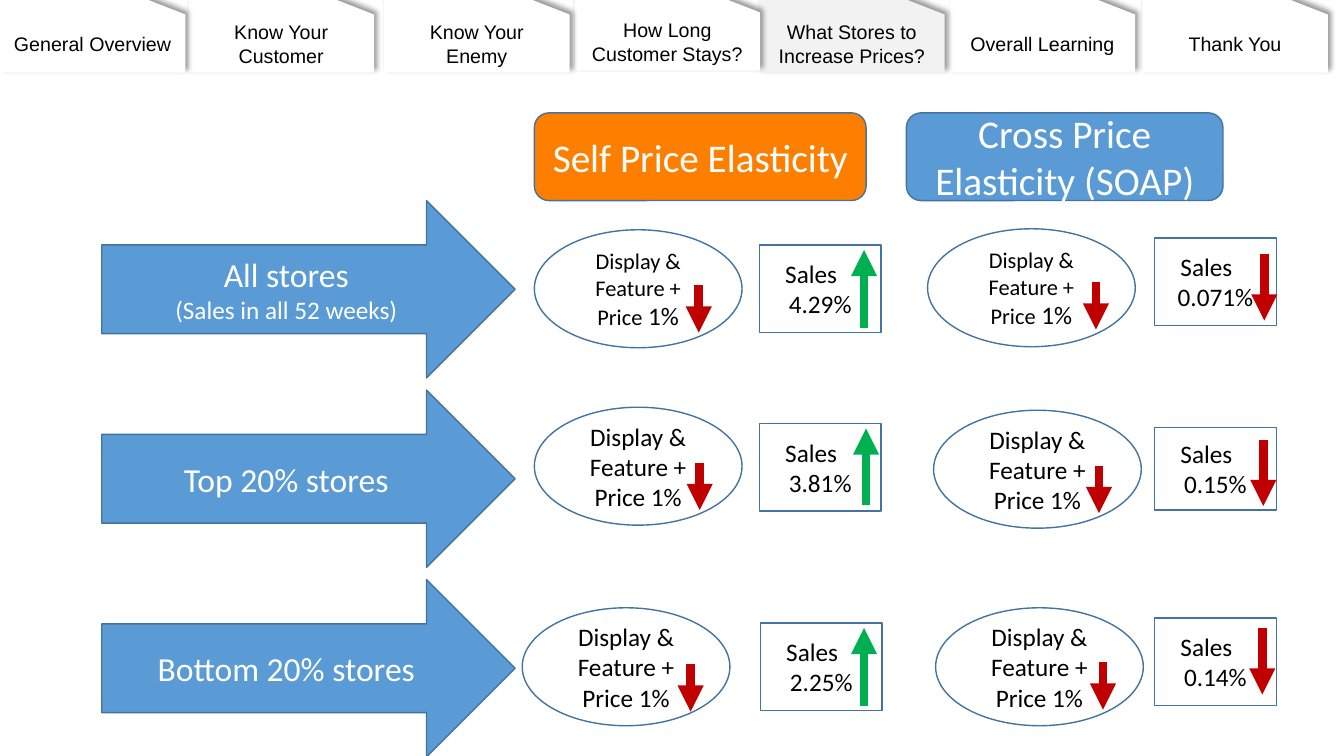
import pptx
import pptx.util
import pptx.dml.color
import pptx.enum.shapes
import pptx.enum.text
import pptx.oxml
import pptx.oxml.ns
from pptx.util import Inches

SHAPES = pptx.enum.shapes.MSO_SHAPE
BLUE, ORANGE, OUTLINE = "5B9BD5", "FE7F00", "43739E"
WHITE, BLACK, GREY = "FFFFFF", "000000", "F2F2F2"
GREEN, RED = "00B050", "C00000"

TAB_SIZE = (1.84, 0.72)
TABS = [
    ("General Overview", 0, 0, WHITE),
    ("Know Your Customer", 1.87, 0, WHITE),
    ("Know Your Enemy", 3.81, 0, WHITE),
    ("How Long Customer Stays?", 5.7, -0.02, WHITE),
    ("What Stores to Increase Prices?", 7.53, 0, GREY),
    ("Overall Learning", 9.42, 0, WHITE),
    ("Thank You", 11.33, 0, WHITE),
]
HEADINGS = [
    ("Self Price Elasticity", 5.3, 3.29, ORANGE),
    ("Cross Price Elasticity (SOAP)", 8.99, 3.14, BLUE),
]
STORE_GROUPS = [
    [("All stores", 24), ("(Sales in all 52 weeks)", 18)],
    [("Top 20% stores", 24)],
    [("Bottom 20% stores", 24)],
]
GROUP_LEFT, GROUP_TOP, GROUP_STEP = 1.01, 1.99, 1.88
ELLIPSE_SIZE = (2.06, 1.17)
PRICE_ARROW_LENGTH = 0.47
# ellipse left, top; text size; price arrow x, top
ACTIONS = [
    (5.3, 2.28, 16, 6.93, 2.83),
    (5.3, 4.04, 18, 6.94, 4.59),
    (5.18, 6.03, 18, 6.85, 6.59),
    (9.2, 2.27, 16, 10.87, 2.8),
    (9.26, 4.07, 18, 10.9, 4.62),
    (9.28, 6.03, 18, 10.94, 6.57),
]
# change; box left, top, height; arrow x, start, end
SALES_WIDTH = 1.21
SALES = [
    ("4.29%", 7.53, 2.43, 0.87, 8.57, 3.25, 2.48),
    ("3.81%", 7.53, 4.2, 0.87, 8.59, 5.01, 4.25),
    ("2.25%", 7.54, 6.18, 0.87, 8.57, 7, 6.23),
    ("0.071%", 11.45, 2.36, 0.87, 12.54, 2.52, 3.18),
    ("0.15%", 11.45, 4.24, 0.82, 12.53, 4.37, 5.02),
    ("0.14%", 11.45, 6.13, 0.87, 12.52, 6.23, 6.89),
]


def color(value):
    return pptx.dml.color.RGBColor.from_string(value)


def add_box(kind, box, fill=None, line=OUTLINE):
    shape = slide.shapes.add_shape(kind, *map(Inches, box))
    if fill:
        shape.fill.solid()
        shape.fill.fore_color.rgb = color(fill)
    else:
        shape.fill.background()
    if line:
        shape.line.color.rgb = color(line)
        shape.line.width = pptx.util.Pt(1)
    else:
        shape.line.fill.background()
    shape.shadow.inherit = False
    return shape


def write(shape, paragraphs, ink, font="Calibri"):
    frame = shape.text_frame
    frame.word_wrap = True
    frame.vertical_anchor = pptx.enum.text.MSO_ANCHOR.MIDDLE
    for index, runs in enumerate(paragraphs):
        paragraph = frame.add_paragraph() if index else frame.paragraphs[0]
        paragraph.alignment = pptx.enum.text.PP_ALIGN.CENTER
        for text, size in runs:
            run = paragraph.add_run()
            run.text = text
            run.font.name = font
            run.font.size = pptx.util.Pt(size)
            run.font.color.rgb = color(ink)


def add_arrow(x, start, end, ink):
    arrow = slide.shapes.add_connector(
        pptx.enum.shapes.MSO_CONNECTOR.STRAIGHT,
        Inches(x), Inches(start), Inches(x), Inches(end))
    arrow.line.color.rgb = color(ink)
    arrow.line.width = pptx.util.Pt(6.25)
    properties = arrow._element.spPr
    line = properties.find(pptx.oxml.ns.qn("a:ln"))
    line.append(pptx.oxml.parse_xml(f'<a:tailEnd {NAMESPACE} type="triangle"/>'))
    properties.append(pptx.oxml.parse_xml(f"<a:effectLst {NAMESPACE}/>"))


def add_tab(text, left, top, fill):
    tab = add_box(SHAPES.FLOWCHART_CARD, (left, top, *TAB_SIZE), fill, None)
    properties = tab._element.spPr
    properties.find(pptx.oxml.ns.qn("a:xfrm")).set("flipH", "1")
    properties.find(pptx.oxml.ns.qn("a:effectLst")).append(pptx.oxml.parse_xml(
        f'<a:outerShdw {NAMESPACE} blurRad="50800" dist="38100" dir="18900000" '
        'algn="bl" rotWithShape="0"><a:prstClr val="black">'
        '<a:alpha val="40000"/></a:prstClr></a:outerShdw>'))
    frame = tab.text_frame
    frame.margin_left = frame.margin_right = Inches(0.13)
    frame.margin_top = frame.margin_bottom = Inches(0.07)
    write(tab, [[(text, 14)]], BLACK, "Arial")


NAMESPACE = pptx.oxml.ns.nsdecls("a")
presentation = pptx.Presentation()
presentation.slide_width = Inches(13.33)
presentation.slide_height = Inches(7.5)
slide = presentation.slides.add_slide(presentation.slide_layouts[6])

for tab_content in reversed(TABS):
    add_tab(*tab_content)

for text, left, width, fill in HEADINGS:
    heading = add_box(SHAPES.ROUNDED_RECTANGLE, (left, 1.12, width, 0.87), fill)
    write(heading, [[(text, 28)]], WHITE)

for row, lines in enumerate(STORE_GROUPS):
    group_top = GROUP_TOP + row * GROUP_STEP
    group = add_box(SHAPES.RIGHT_ARROW, (GROUP_LEFT, group_top, 4.1, 1.76), BLUE)
    write(group, [[line] for line in lines], WHITE)

for left, top, size, arrow_x, arrow_top in ACTIONS:
    action = add_box(SHAPES.OVAL, (left, top, *ELLIPSE_SIZE))
    write(action, [[("Display & Feature + Price", size), (" 1%", 18)]], BLACK)
    add_arrow(arrow_x, arrow_top, arrow_top + PRICE_ARROW_LENGTH, RED)

for change, left, top, height, arrow_x, start, end in SALES:
    sales = add_box(SHAPES.RECTANGLE, (left, top, SALES_WIDTH, height))
    write(sales, [[("Sales", 18)], [(change, 18)]], BLACK)
    for paragraph, right_margin in zip(sales.text_frame.paragraphs, (0.18, 0)):
        paragraph._p.get_or_add_pPr().set("marR", str(Inches(right_margin)))
    add_arrow(arrow_x, start, end, GREEN if end < start else RED)

presentation.save("out.pptx")
